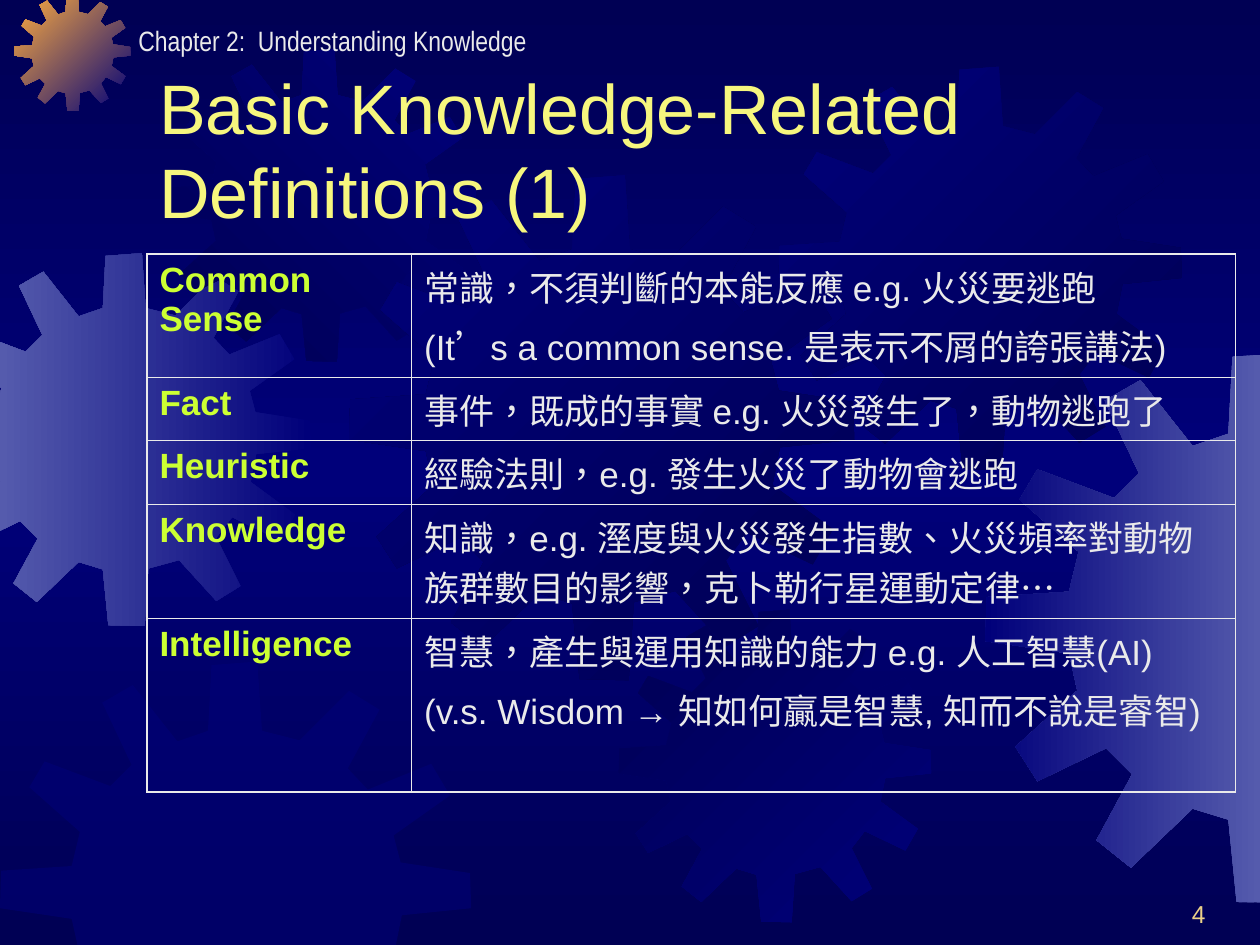
import copy

import lxml.etree
import pptx
import pptx.dml.color
import pptx.enum.lang
import pptx.enum.text
import pptx.oxml.ns
import pptx.util

WIDE = pptx.util.Inches(10)
HIGH = pptx.util.Inches(7.5)
HEX = {
    "dark": "000054", "blue": "00007A", "pale": "555BAD", "gold": "FCAB40",
    "text": "EAEAEA", "title": "F6F67E", "term": "CCFF33", "page": "EBD189",
}

# Outline of one 13-tooth gear, drawn on a square of side SPAN
SPAN = 401
GEAR = [
    (255, 67), (223, 59), (219, 0), (180, 3), (177, 59), (151, 68),
    (113, 20), (87, 35), (112, 88), (94, 106), (38, 85), (25, 107),
    (68, 145), (61, 174), (1, 178), (0, 210), (61, 219), (67, 246),
    (22, 287), (38, 312), (88, 288), (107, 307), (81, 355), (106, 375),
    (151, 332), (177, 340), (183, 400), (222, 401), (226, 339), (259, 330),
    (299, 374), (325, 358), (299, 306), (316, 284), (368, 309), (384, 281),
    (336, 246), (342, 216), (401, 210), (400, 180), (341, 171), (335, 148),
    (383, 114), (367, 87), (313, 109), (296, 91), (323, 41), (297, 25),
]

# Gears: left %, top %, size % of width, first colour, last colour, angle
GEARS = [
    (-4.9, 26.8, 29.6, "blue", "pale", 180),
    (1.15, -0.53, 9.2, "blue", "gold", 135),
    (13, 5.2, 24.8, "blue", "dark", 225),
    (27.7, 18.53, 40.1, "dark", "blue", 135),
    (0, 70, 37.4, "blue", None, None),
    (49.1, 64.53, 24.8, "blue", "dark", 135),
    (61.8, 7.07, 32, "dark", "blue", 135),
    (78.2, 37.33, 43.7, "pale", "blue", 180),
]

ROWS = [
    ("Common Sense", "常識，不須判斷的本能反應 e.g. 火災要逃跑\n"
     "(It’s a common sense. 是表示不屑的誇張講法)"),
    ("Fact", "事件，既成的事實 e.g. 火災發生了，動物逃跑了"),
    ("Heuristic", "經驗法則，e.g. 發生火災了動物會逃跑"),
    ("Knowledge", "知識，e.g. 溼度與火災發生指數、火災頻率對動物"
     "族群數目的影響，克卜勒行星運動定律…"),
    ("Intelligence", "智慧，產生與運用知識的能力 e.g. 人工智慧(AI)\n"
     "(v.s. Wisdom → 知如何贏是智慧, 知而不說是睿智)"),
]
COLS = [21, 65.4]
TALL = [13.07, 6.7, 6.7, 12.09, 18.4]


def across(share):
    return round(WIDE * share / 100)


def down(share):
    return round(HIGH * share / 100)


def tint(name):
    return pptx.dml.color.RGBColor.from_string(HEX[name])


def node(parent, tag, **attrs):
    return lxml.etree.SubElement(parent, pptx.oxml.ns.qn(tag), **attrs)


def blend(fill, names, angle):
    """Fill with an even gradient through the named colours."""
    fill.gradient()
    fill.gradient_angle = angle
    first = fill.gradient_stops
    stops = fill._fill._gradFill.gsLst
    for _ in range(len(names) - len(first)):
        stops.append(copy.deepcopy(stops[0]))
    for i, (stop, name) in enumerate(zip(fill.gradient_stops, names)):
        stop.position = i / (len(names) - 1)
        stop.color.rgb = tint(name)


def clip(points, axis, edge, sign):
    """Cut a polygon along one edge of the slide."""
    kept = []
    for a, b in zip(points, points[1:] + points[:1]):
        gap_a, gap_b = sign * (a[axis] - edge), sign * (b[axis] - edge)
        if gap_a >= 0:
            kept.append(a)
        if gap_a * gap_b < 0:
            part = gap_a / (gap_a - gap_b)
            kept.append(tuple(p + (q - p) * part for p, q in zip(a, b)))
    return kept


def gear(slide, left, top, size, start, end, angle):
    unit = across(size) / SPAN
    points = [(across(left) + x * unit, down(top) + y * unit) for x, y in GEAR]
    for axis, edge, sign in ((0, 0, 1), (0, WIDE, -1), (1, 0, 1), (1, HIGH, -1)):
        points = clip(points, axis, edge, sign)
    points = [(round(x), round(y)) for x, y in points]
    pen = slide.shapes.build_freeform(*points[0])
    pen.add_line_segments(points[1:], close=True)
    shape = pen.convert_to_shape()
    shape.shadow.inherit = False
    shape.line.fill.background()
    if end:
        blend(shape.fill, [start, end], angle)
    else:
        shape.fill.solid()
        shape.fill.fore_color.rgb = tint(start)
        for color in shape._element.spPr.iter(pptx.oxml.ns.qn("a:srgbClr")):
            node(color, "a:alpha", val="50000")


def style(frame, size, color, font="Arial", bold=False):
    for para in frame.paragraphs:
        for run in para.runs:
            run.font.size = pptx.util.Pt(size)
            run.font.name = font
            run.font.bold = bold
            run.font.color.rgb = tint(color)
            run.font.language_id = pptx.enum.lang.MSO_LANGUAGE_ID.TRADITIONAL_CHINESE


def label(slide, place, text, size, color, font="Arial"):
    x, y, w, h = place
    box = slide.shapes.add_textbox(across(x), down(y), across(w), down(h))
    frame = box.text_frame
    frame.word_wrap = True
    frame.text = text
    style(frame, size, color, font)
    return frame


def edges(cell, row, col):
    """Thick lines round the table, thin ones inside it."""
    outer = {"L": col == 0, "R": col == len(COLS) - 1,
             "T": row == 0, "B": row == len(TALL) - 1}
    props = cell._tc.get_or_add_tcPr()
    for side, thick in outer.items():
        width = pptx.util.Pt(1.08 if thick else 0.45)
        line = node(props, "a:ln" + side, w=str(int(width)))
        node(node(line, "a:solidFill"), "a:srgbClr", val=HEX["text"])


def grid(slide):
    table = slide.shapes.add_table(
        len(ROWS), len(COLS), across(11.66), down(26.88),
        across(sum(COLS)), down(sum(TALL))).table
    table.first_row = table.horz_banding = False
    for col, share in zip(table.columns, COLS):
        col.width = across(share)
    for row, share in zip(table.rows, TALL):
        row.height = down(share)
    for r, texts in enumerate(ROWS):
        for c, text in enumerate(texts):
            cell = table.cell(r, c)
            edges(cell, r, c)
            cell.fill.background()
            frame = cell.text_frame
            frame.text = text
            style(frame, 20, "text" if c else "term", bold=c == 0)
            for para in frame.paragraphs[1:]:
                para.space_before = pptx.util.Pt(5)


def main():
    deck = pptx.Presentation()
    deck.slide_width, deck.slide_height = WIDE, HIGH
    slide = deck.slides.add_slide(deck.slide_layouts[6])

    # Backdrop
    blend(slide.background.fill, ["dark", "blue", "dark"], 270)
    for item in GEARS:
        gear(slide, *item)

    # Chapter line and title
    label(slide, (10, 1.8, 64.2, 4.93), "Chapter 2:  Understanding Knowledge",
          16, "text", "Arial Narrow")
    title = label(slide, (11.66, 8.58, 85, 16.67),
                  "Basic Knowledge-Related Definitions (1)", 40, "title")
    title.vertical_anchor = pptx.enum.text.MSO_ANCHOR.BOTTOM

    # Definitions
    grid(slide)

    # Page number
    page = label(slide, (75.85, 92.27, 20.8, 6.67), "4", 14, "page")
    page.vertical_anchor = pptx.enum.text.MSO_ANCHOR.BOTTOM
    page.paragraphs[0].alignment = pptx.enum.text.PP_ALIGN.RIGHT

    deck.save("out.pptx")


if __name__ == "__main__":
    main()
